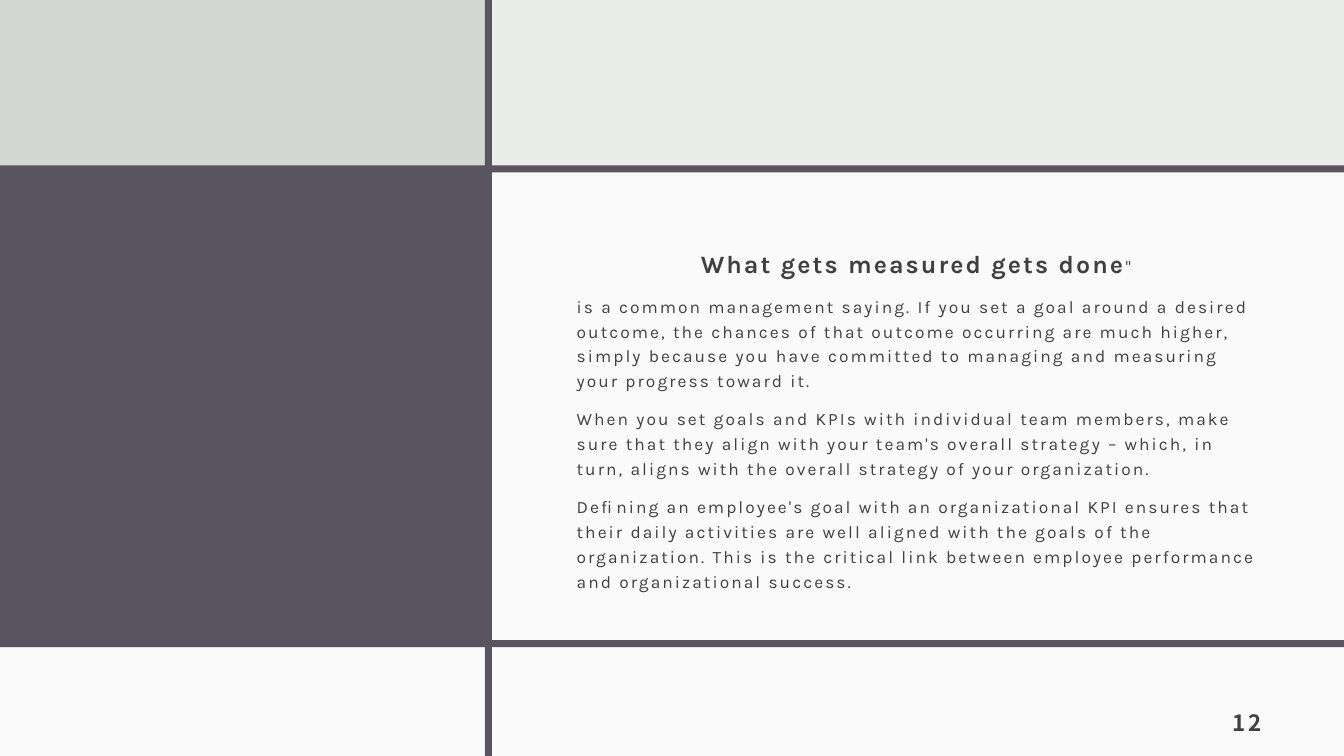
"""Build a slide with a block-grid background and a text on measured goals."""
from lxml import etree
from pptx import Presentation
from pptx.dml.color import RGBColor
from pptx.enum.shapes import MSO_SHAPE
from pptx.enum.text import MSO_ANCHOR, PP_ALIGN
from pptx.oxml.ns import qn
from pptx.util import Inches, Pt

RECTANGLE = MSO_SHAPE.RECTANGLE
MIDDLE, BOTTOM = MSO_ANCHOR.MIDDLE, MSO_ANCHOR.BOTTOM
LEFT, CENTER, RIGHT = PP_ALIGN.LEFT, PP_ALIGN.CENTER, PP_ALIGN.RIGHT

PALE = RGBColor(0xEB, 0xED, 0xEB)
SAGE = RGBColor(0xD2, 0xD7, 0xD2)
PLUM = RGBColor(0x59, 0x54, 0x60)
WHITE = RGBColor(0xFF, 0xFF, 0xFF)
INK = RGBColor(0x40, 0x40, 0x40)

WIDTH, HEIGHT, BAR = 13.33, 7.5, 0.07

BLOCKS = [
    (0, 1.64, 4.84, 4.78, PLUM, 100),
    (0, 0, 4.84, 1.66, SAGE, 100),
    (4.84, 1.66, 8.49, 4.76, WHITE, 75),
    (0, 1.64, WIDTH, BAR, PLUM, 100),
    (0, 6.41, WIDTH, 1.09, WHITE, 75),
    (0, 6.35, WIDTH, BAR, PLUM, 100),
    (4.81, 0, BAR, HEIGHT, PLUM, 100),
]

BODY = [
    (CENTER, [("What gets measured gets done", 17.8, True), ("\" ", 12.4, False)]),
    (LEFT, [("is a common management saying. If you set a goal around a desired outcome, "
             "the chances of that outcome occurring are much higher, simply because you have "
             "committed to managing and measuring your progress toward it.", 12.4, False)]),
    (LEFT, [("When you set goals and KPIs with individual team members, make sure that they "
             "align with your team's overall strategy – which, in turn, aligns with the overall "
             "strategy of your organization.", 12.4, False)]),
    (LEFT, [("Defining an employee's goal with an organizational KPI ensures that their daily "
             "activities are well aligned with the goals of the organization. This is the "
             "critical link between employee performance and organizational success.",
             12.4, False)]),
]


def add_text_frame(page, left, top, width, height, anchor):
    frame = page.shapes.add_textbox(
        Inches(left), Inches(top), Inches(width), Inches(height)).text_frame
    frame.word_wrap = True
    frame.vertical_anchor = anchor
    frame.margin_left = frame.margin_right = frame.margin_top = Inches(0.12)
    frame.margin_bottom = Inches(0.1)
    return frame


def add_span(para, text, size, bold, font_name):
    span = para.add_run()
    span.text = text
    span.font.name = font_name
    span.font.size = Pt(size)
    span.font.bold = bold
    span.font.color.rgb = INK
    span.font._element.set("spc", "150")


deck = Presentation()
deck.slide_width = Inches(WIDTH)
deck.slide_height = Inches(HEIGHT)
page = deck.slides.add_slide(deck.slide_layouts[6])
page.background.fill.solid()
page.background.fill.fore_color.rgb = PALE

for left, top, width, height, color, opacity in BLOCKS:
    block = page.shapes.add_shape(
        RECTANGLE, Inches(left), Inches(top), Inches(width), Inches(height))
    block.shadow.inherit = False
    block.line.fill.background()
    block.fill.solid()
    block.fill.fore_color.rgb = color
    if opacity < 100:
        swatch = block._element.spPr.find(qn("a:solidFill"))[0]
        etree.SubElement(swatch, qn("a:alpha"), val=str(opacity * 1000))

body = add_text_frame(page, 5.6, 2.14, 7.03, 3.98, MIDDLE)
for index, (alignment, spans) in enumerate(BODY):
    para = body.add_paragraph() if index else body.paragraphs[0]
    para.alignment = alignment
    para.line_spacing = 1.2
    para.space_before = Pt(9.3)
    for text, size, bold in spans:
        add_span(para, text, size, bold, "Karla")

number = add_text_frame(page, 11.56, 6.9, 1.07, 0.5, BOTTOM).paragraphs[0]
number.alignment = RIGHT
number.space_after = Pt(6)
add_span(number, "12", 16, True, "Noto Sans CJK JP")

deck.save("out.pptx")
